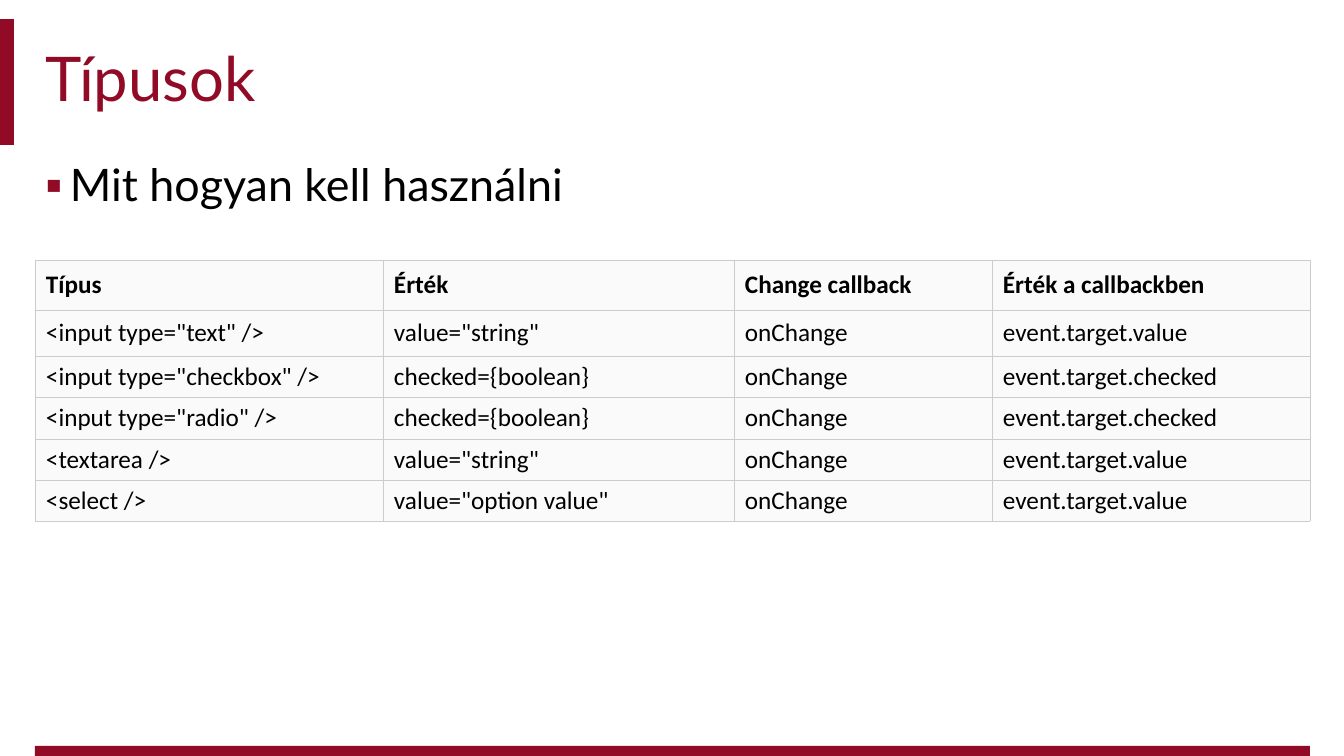
from lxml.etree import SubElement
from pptx import Presentation
from pptx.dml.color import RGBColor
from pptx.enum.shapes import MSO_SHAPE as SHAPE
from pptx.enum.text import MSO_ANCHOR as ANCHOR, MSO_AUTO_SIZE as AUTO, PP_ALIGN as ALIGN
from pptx.oxml import parse_xml
from pptx.oxml.ns import nsdecls, qn
from pptx.util import Pt

PX = 914400 / 100.8
CRIMSON, BLACK, PALE, GREY = "910A26", "000000", "FAFAFA", "CCCCCC"

COLS = [348, 351, 258, 318]
ROWS = [50, 46, 41, 42, 41, 41]
CELLS = [
    ["Típus", "Érték", "Change callback", "Érték a callbackben"],
    ['<input type="text" />', 'value="string"', "onChange", "event.target.value"],
    ['<input type="checkbox" />', "checked={boolean}", "onChange", "event.target.checked"],
    ['<input type="radio" />', "checked={boolean}", "onChange", "event.target.checked"],
    ["<textarea />", 'value="string"', "onChange", "event.target.value"],
    ["<select />", 'value="option value"', "onChange", "event.target.value"],
]


def px(n):
    return round(n * PX)


def rgb(value):
    return RGBColor.from_string(value)


def assign(target, values):
    for name, value in values.items():
        setattr(target, name, value)


def write(tf, text, color, font, paragraph=None):
    p = tf.paragraphs[0]
    assign(p, {"alignment": ALIGN.LEFT, **(paragraph or {})})
    r = p.add_run()
    r.text = text
    assign(r.font, font)
    r.font.color.rgb = rgb(color)
    return p


def add_bar(s, *box):
    sp = s.shapes.add_shape(SHAPE.RECTANGLE, *map(px, box))
    sp.shadow.inherit = False
    sp.fill.solid()
    sp.fill.fore_color.rgb = rgb(CRIMSON)
    sp.line.fill.background()


def add_title(s, text, x, y, w, h):
    add_bar(s, 0, y, 14, h)
    sp = s.shapes.title
    assign(sp, {"left": px(x), "top": px(y), "width": px(w), "height": px(h)})
    tf = sp.text_frame
    assign(tf, {"vertical_anchor": ANCHOR.MIDDLE, "auto_size": AUTO.NONE})
    write(tf, text, CRIMSON, {"size": Pt(44), "name": "Lato"}, {"line_spacing": 0.9})


def add_body(s, text, x, y, w, h):
    tf = s.shapes.add_textbox(*map(px, (x, y, w, h))).text_frame
    tf.word_wrap = True
    p = write(tf, text, BLACK, {"size": Pt(32), "name": "Lato"},
              {"line_spacing": 0.9, "space_before": Pt(10)})
    # Square bullet with a hanging indent
    pPr = p._p.get_or_add_pPr()
    pPr.set("marL", str(px(25)))
    pPr.set("indent", str(-px(25)))
    SubElement(SubElement(pPr, qn("a:buClr")), qn("a:srgbClr"), val=CRIMSON)
    SubElement(pPr, qn("a:buFont"), typeface="Lato")
    SubElement(pPr, qn("a:buChar"), char="▪")


def add_borders(cell):
    tcPr = cell._tc.get_or_add_tcPr()
    for i, side in enumerate("LRTB"):
        tcPr.insert(i, parse_xml(
            f'<a:ln{side} {nsdecls("a")} w="{Pt(0.6)}"><a:solidFill>'
            f'<a:srgbClr val="{GREY}"/></a:solidFill></a:ln{side}>'))


def add_grid(s, x, y):
    box = map(px, (x, y, sum(COLS), sum(ROWS)))
    table = s.shapes.add_table(len(ROWS), len(COLS), *box).table
    for column, width in zip(table.columns, COLS):
        column.width = px(width)
    for i, (row, height) in enumerate(zip(table.rows, ROWS)):
        row.height = px(height)
        for cell, text in zip(row.cells, CELLS[i]):
            assign(cell, {"vertical_anchor": ANCHOR.MIDDLE,
                          "margin_left": px(11), "margin_right": px(11),
                          "margin_top": px(5), "margin_bottom": px(5)})
            cell.fill.solid()
            cell.fill.fore_color.rgb = rgb(PALE)
            add_borders(cell)
            write(cell.text_frame, text, BLACK,
                  {"size": Pt(18), "name": "Calibri", "bold": i == 0})


def main():
    prs = Presentation()
    assign(prs, {"slide_width": px(1344), "slide_height": px(756)})
    s = prs.slides.add_slide(prs.slide_layouts[5])

    # Footer bar, heading, bullet and table share the left edge
    left, width = 35, 1275
    add_bar(s, left, 746, width, 10)
    add_title(s, "Típusok", left, 19, width, 126)
    add_body(s, "Mit hogyan kell használni", left, 158, width, 567)
    add_grid(s, left, 260)
    prs.save("out.pptx")


if __name__ == "__main__":
    main()
